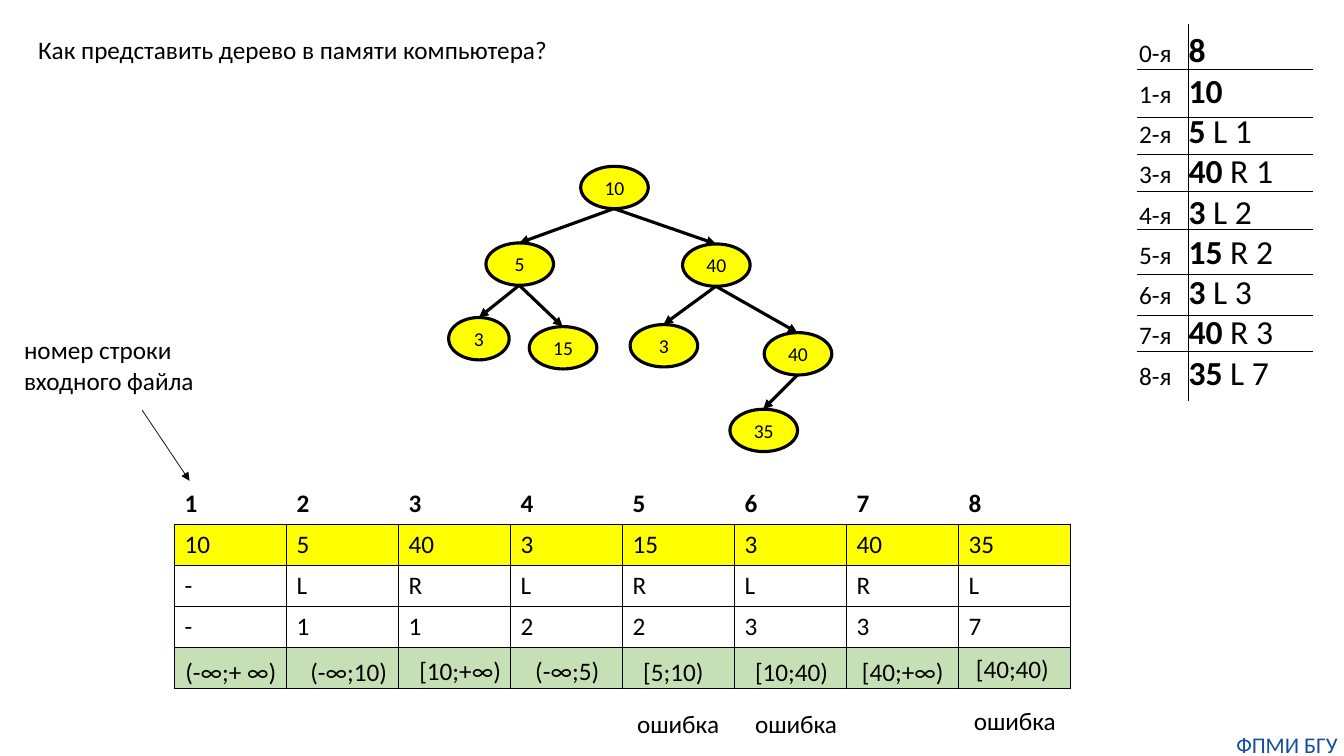
from pptx import Presentation
from pptx.dml.color import RGBColor
from pptx.enum.shapes import MSO_CONNECTOR as CONN, MSO_SHAPE as SHAPE
from pptx.enum.text import MSO_ANCHOR as ANCHOR, PP_ALIGN as ALIGN
from pptx.oxml.ns import qn
from pptx.util import Pt
from lxml.etree import SubElement

PX = 9144
FONT = "Calibri"
BLACK = RGBColor(0x00, 0x00, 0x00)
YELLOW = RGBColor(0xFF, 0xFF, 0x00)
GREEN = RGBColor(0xC5, 0xE0, 0xB4)
BLUE = RGBColor(0x14, 0x4E, 0x9D)

RECORDS = [("10", "-", "-"), ("5", "L", "1"), ("40", "R", "1"), ("3", "L", "2"),
           ("15", "R", "2"), ("3", "L", "3"), ("40", "R", "3"), ("35", "L", "7")]
NODE_BOXES = [(131, 0, 67), (37, 76, 67), (232, 77, 67), (0, 150, 60),
              (80, 159, 67), (180, 157, 67), (313, 165, 67), (279, 241, 67)]
NODE_H = 42
INTERVALS = [("(-∞;+ ∞)", 1, 3, 112), ("(-∞;10)", 125, 3, 97),
             ("[10;+∞)", 233, 2, 102), ("(-∞;5)", 348, 2, 85),
             ("[5;10)", 455, 3, 81), ("[10;40)", 566, 3, 94),
             ("[40;+∞)", 672, 3, 102), ("[40;40)", 785, 0, 94)]
ERRORS = [(449, 55), (566, 55), (783, 52)]
RULES = [45, 92, 129, 166, 204, 248, 289, 325]


def px(*lengths):
    """Turn pixel lengths into EMU."""
    return [n * PX for n in lengths]


def add_run(p, text, size=18, bold=False, color=BLACK):
    """Add one formatted run to a paragraph."""
    r = p.add_run()
    r.text = text
    r.font.name, r.font.size, r.font.bold = FONT, Pt(size), bold
    r.font.color.rgb = color


def add_label(s, x, y, w, h, *lines):
    """Add an unwrapped text box with one paragraph per line."""
    tf = s.shapes.add_textbox(*px(x, y, w, h)).text_frame
    tf.word_wrap = False
    for i, line in enumerate(lines):
        add_run(tf.add_paragraph() if i else tf.paragraphs[0], line)


def add_line(s, x1, y1, x2, y2, width=0.5, arrow=False):
    """Add a straight black line, with an arrowhead at its end if asked."""
    line = s.shapes.add_connector(CONN.STRAIGHT, *px(x1, y1, x2, y2))
    line.line.color.rgb = BLACK
    line.line.width = Pt(width)
    if arrow:
        SubElement(line.line._get_or_add_ln(), qn("a:tailEnd"), type="triangle")
    SubElement(line._element.spPr, qn("a:effectLst"))


def add_node(s, x, y, w, key):
    """Add one tree node with its key."""
    sp = s.shapes.add_shape(SHAPE.OVAL, *px(x, y, w, NODE_H))
    sp.shadow.inherit = False
    sp.fill.solid()
    sp.fill.fore_color.rgb = YELLOW
    sp.line.color.rgb = BLACK
    sp.line.width = Pt(2.25)
    tf = sp.text_frame
    tf.margin_left = tf.margin_right = tf.margin_top = tf.margin_bottom = 0
    tf.vertical_anchor = ANCHOR.MIDDLE
    p = tf.paragraphs[0]
    p.alignment = ALIGN.CENTER
    add_run(p, key, 14)


def add_tree(s, x, y):
    """Draw the nodes and the arrows from each parent to its children."""
    for (key, _, parent), (nx, ny, w) in zip(RECORDS, NODE_BOXES):
        add_node(s, x + nx, y + ny, w, key)
        if parent != "-":
            px0, py0, pw = NODE_BOXES[int(parent) - 1]
            add_line(s, x + px0 + pw // 2, y + py0 + NODE_H,
                     x + nx + w // 2, y + ny, 2.25, True)


def style_cell(cell, sides, fill):
    """Set the borders on the given sides and the fill of a cell."""
    tcPr = cell._tc.get_or_add_tcPr()
    for side in "LRTB":
        ln = SubElement(tcPr, qn("a:ln" + side), w=str(Pt(1)))
        if side in sides:
            color = SubElement(ln, qn("a:solidFill"))
            SubElement(color, qn("a:srgbClr"), val=str(BLACK))
        else:
            SubElement(ln, qn("a:noFill"))
    if fill is None:
        cell.fill.background()
    else:
        cell.fill.solid()
        cell.fill.fore_color.rgb = fill


def add_arrays(s, x, y, w, h):
    """Add the table of arrays with the key intervals and error marks."""
    count = len(RECORDS)
    numbers = [str(i + 1) for i in range(count)]
    rows = [numbers, *zip(*RECORDS), [""] * count]
    fills = [None, YELLOW, None, None, GREEN]
    table = s.shapes.add_table(len(rows), count, *px(x, y, w, h)).table
    table.first_row = table.horz_banding = False
    for i, (row, fill) in enumerate(zip(rows, fills)):
        for j, text in enumerate(row):
            cell = table.cell(i, j)
            style_cell(cell, "LRTB" if i else "B", fill)
            if text:
                add_run(cell.text_frame.paragraphs[0], text, bold=i == 0)
    for text, dx, dy, width in INTERVALS:
        add_label(s, x + dx, y + 163 + dy, width, 40, text)
    for dx, dy in ERRORS:
        add_label(s, x + dx, y + 163 + dy, 103, 40, "ошибка")


def add_input_file(s, x, y, w, h):
    """List the lines of the input file between thin rules."""
    tf = s.shapes.add_textbox(*px(x, y, w, h)).text_frame
    tf.word_wrap = True
    lines = [("8", "")]
    lines += [(key, "" if side == "-" else f" {side} {parent}")
              for key, side, parent in RECORDS]
    for i, (key, link) in enumerate(lines):
        p = tf.add_paragraph() if i else tf.paragraphs[0]
        tabs = SubElement(p._p.get_or_add_pPr(), qn("a:tabLst"))
        SubElement(tabs, qn("a:tab"), pos=str(49 * PX), algn="l")
        add_run(p, f"{i}-я\t")
        add_run(p, key, 24, True)
        if link:
            add_run(p, link, 24)
    add_line(s, x + 59, y, x + 59, y + h)
    for dy in RULES:
        add_line(s, x + 8, y + dy, x + w - 8, y + dy)


def add_footer(s, x, y, w, h):
    """Add the department name in the corner."""
    tf = s.shapes.add_textbox(*px(x, y, w, h)).text_frame
    tf.margin_left = tf.margin_right = tf.margin_top = tf.margin_bottom = 0
    tf.word_wrap = True
    p = tf.paragraphs[0]
    p.alignment = ALIGN.CENTER
    add_run(p, "ФПМИ БГУ", 16, color=BLUE)


def main():
    """Build the slide and save it."""
    prs = Presentation()
    prs.slide_width, prs.slide_height = px(1333, 750)
    s = prs.slides.add_slide(prs.slide_layouts[6])
    add_tree(s, 445, 165)
    add_footer(s, 1220, 725, 113, 27)
    add_arrays(s, 173, 480, 889, 203)
    add_label(s, 14, 327, 190, 71, "номер строки", "входного файла")
    add_line(s, 141, 407, 188, 477, arrow=True)
    add_label(s, 28, 29, 531, 40, "Как представить дерево в памяти компьютера?")
    add_input_file(s, 1120, 24, 190, 374)
    prs.save("out.pptx")


if __name__ == "__main__":
    main()
